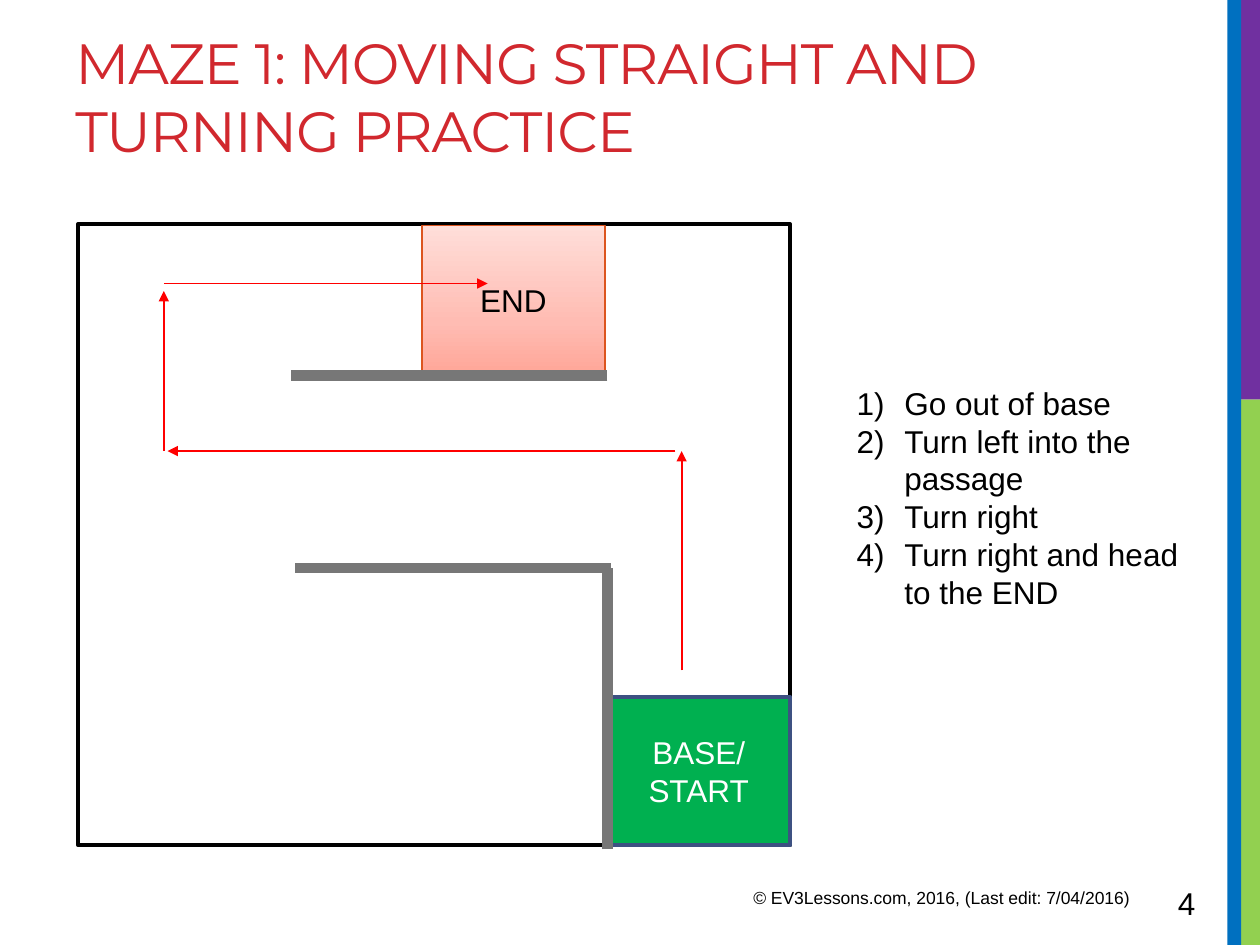
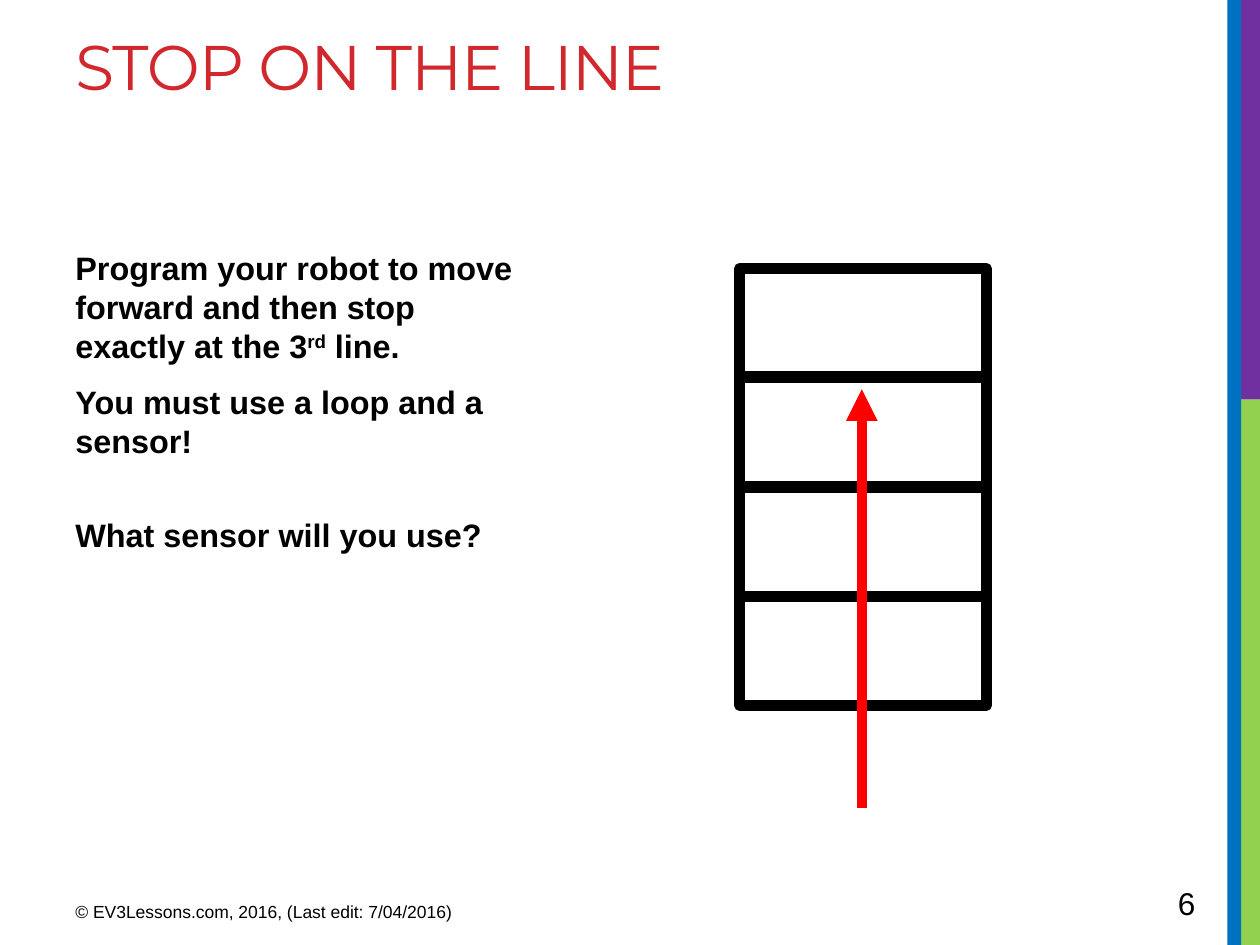
from copy import deepcopy
from dataclasses import dataclass

from lxml.etree import SubElement
from pptx import Presentation
from pptx.dml.color import RGBColor
from pptx.enum.shapes import MSO_CONNECTOR as Connector, MSO_SHAPE as Shape
from pptx.enum.text import MSO_ANCHOR as Anchor, PP_ALIGN as Align
from pptx.oxml.ns import qn
from pptx.util import Inches, Pt

# Shared style
BLACK, WHITE, RED = "000000", "FFFFFF", "FF0000"
TITLE_RED, WALL_GREY = "D1282E", "777777"
BODY_FONT, TITLE_FONT = "Arial", "Montserrat"
CREDIT = "© EV3Lessons.com, 2016, (Last edit: 7/04/2016)"


@dataclass(frozen=True)
class Rect:
    left: float
    top: float
    width: float
    height: float

    def lengths(self):
        return [Inches(v) for v in (self.left, self.top, self.width, self.height)]


@dataclass(frozen=True)
class Stroke:
    """A straight line between two points, in inches."""
    start: tuple[float, float]
    end: tuple[float, float]
    color: str = RED
    weight: float = 1
    arrow: bool = True


@dataclass(frozen=True)
class Band:
    rect: Rect
    color: str


SIDE_BANDS = [
    Band(Rect(9.84, 3.17, 0.16, 4.33), "92D050"),
    Band(Rect(9.8, 0, 0.2, 3.17), "7030A0"),
    Band(Rect(9.74, 0, 0.11, 7.5), "0070C0"),
]

# Maze parts
ROUTE = [
    Stroke((5.41, 5.32), (5.41, 3.58)),
    Stroke((5.36, 3.58), (1.33, 3.58)),
    Stroke((1.3, 3.58), (1.3, 2.31)),
    Stroke((1.3, 2.25), (3.87, 2.25)),
]
WALLS = [
    Stroke(start, end, WALL_GREY, 6, arrow=False)
    for start, end in [
        ((4.82, 6.74), (4.82, 4.51)),
        ((4.85, 4.51), (2.34, 4.51)),
        ((4.82, 2.98), (2.31, 2.98)),
    ]
]
STEPS = [
    "Go out of base",
    "Turn left into the passage",
    "Turn right",
    "Turn right and head to the END",
]
END_GRADIENT = [(0, "FFA698"), (0.35, "FFBCB3"), (1, "FFDED9")]


def rgb(color: str) -> RGBColor:
    return RGBColor.from_string(color)


def write(para, text: str, *, size: float = 18, font: str = BODY_FONT,
          color: str = BLACK, bold: bool = False, spacing: int = 0,
          raised: bool = False) -> None:
    """Add one formatted span of text to a paragraph."""
    span = para.add_run()
    span.text = text
    span.font.size = Pt(size)
    span.font.name = font
    span.font.bold = bold
    span.font.color.rgb = rgb(color)
    properties = span.font._element
    if spacing:
        properties.set("spc", str(spacing))
    if raised:
        properties.set("baseline", "30000")


def add_text_box(page, rect: Rect):
    frame = page.shapes.add_textbox(*rect.lengths()).text_frame
    frame.word_wrap = True
    return frame


def add_label(page, rect: Rect, text: str, **style) -> None:
    write(add_text_box(page, rect).paragraphs[0], text, **style)


def add_box(page, rect: Rect, fill: str | None = None,
            line: str | None = None, weight: float = 1):
    box = page.shapes.add_shape(Shape.RECTANGLE, *rect.lengths())
    box.shadow.inherit = False
    if fill:
        box.fill.solid()
        box.fill.fore_color.rgb = rgb(fill)
    else:
        box.fill.background()
    if line:
        box.line.color.rgb = rgb(line)
        box.line.width = Pt(weight)
    else:
        box.line.fill.background()
    box.text_frame.word_wrap = True
    box.text_frame.vertical_anchor = Anchor.MIDDLE
    return box


def write_centered(box, text: str, color: str) -> None:
    para = box.text_frame.paragraphs[0]
    para.alignment = Align.CENTER
    write(para, text, color=color)


def add_stroke(page, stroke: Stroke) -> None:
    ends = [Inches(v) for v in (*stroke.start, *stroke.end)]
    line = page.shapes.add_connector(Connector.STRAIGHT, *ends)
    line.line.color.rgb = rgb(stroke.color)
    line.line.width = Pt(stroke.weight)
    if stroke.arrow:
        SubElement(line.line._get_or_add_ln(), qn("a:tailEnd"), type="triangle")
    SubElement(line._element.spPr, qn("a:effectLst"))


def fill_gradient(box, colors: list[tuple[float, str]]) -> None:
    """Blend the colours from the bottom of the box to its top."""
    box.fill.gradient()
    box.fill.gradient_angle = 90
    stop_list = next(box._element.spPr.iter(qn("a:gsLst")))
    while len(stop_list) < len(colors):
        stop_list.append(deepcopy(stop_list[0]))
    for stop, (position, color) in zip(box.fill.gradient_stops, colors):
        stop.position = position
        stop.color.rgb = rgb(color)


def write_numbered(frame, items: list[str]) -> None:
    for index, item in enumerate(items):
        para = frame.add_paragraph() if index else frame.paragraphs[0]
        para.alignment = Align.LEFT
        properties = para._p.get_or_add_pPr()
        properties.set("marL", str(Inches(0.38)))
        properties.set("indent", str(-Inches(0.38)))
        SubElement(properties, qn("a:buFont"), typeface=BODY_FONT)
        SubElement(properties, qn("a:buAutoNum"), type="arabicParenR")
        write(para, item)


def add_page(deck, title: str, title_size: float, title_height: float,
             number: int, credit: Rect):
    """Add a blank page with side bands, title, credit line and number."""
    page = deck.slides.add_slide(deck.slide_layouts[6])
    for band in SIDE_BANDS:
        add_box(page, band.rect, band.color)
    add_label(page, Rect(0.5, 0.17, 9.02, title_height), title, size=title_size,
              font=TITLE_FONT, color=TITLE_RED, spacing=-60)
    add_label(page, credit, CREDIT, size=10)
    add_label(page, Rect(9.25, 6.97, 0.69, 0.4), str(number))
    return page


def build_maze_page(deck) -> None:
    page = add_page(deck, "MAZE 1: MOVING STRAIGHT AND TURNING PRACTICE",
                    32.4, 0.89, 4, Rect(5.88, 6.99, 3.75, 0.31))
    # Field with its start and end zones
    add_box(page, Rect(0.62, 1.78, 5.65, 4.93), WHITE, BLACK, 2.25)
    base = add_box(page, Rect(4.82, 5.53, 1.45, 1.18), "00B050", "3D5182", 2.25)
    write_centered(base, "BASE/ START", WHITE)
    end = add_box(page, Rect(3.35, 1.79, 1.45, 1.18), line="DC551F")
    fill_gradient(end, END_GRADIENT)
    write_centered(end, "END", BLACK)
    # Instructions
    steps = add_box(page, Rect(6.7, 2.8, 2.9, 2.29), WHITE)
    write_numbered(steps.text_frame, STEPS)
    # Walls and route
    for stroke in WALLS + ROUTE:
        add_stroke(page, stroke)


def build_line_page(deck) -> None:
    page = add_page(deck, "STOP ON THE LINE", 36, 1.5, 6,
                    Rect(0.5, 7.1, 3.75, 0.31))
    # Task: space before each paragraph, then its spans
    task = [
        (0, ["Program your robot to move forward and then stop exactly at the 3",
             "rd", " line."]),
        (3.7, ["You must use a loop and a sensor!"]),
        (25.8, ["What sensor will you use?"]),
    ]
    frame = add_text_box(page, Rect(0.5, 1.92, 3.75, 2.58))
    for index, (space_before, spans) in enumerate(task):
        para = frame.add_paragraph() if index else frame.paragraphs[0]
        para.space_before = Pt(space_before)
        para.space_after = Pt(6)
        for text in spans:
            write(para, text, size=18.5, bold=True, raised=text == "rd")
    # Ladder of lines and the robot's path
    for row in range(4):
        add_box(page, Rect(5.87, 2.13 + 0.87 * row, 1.96, 0.86),
                line=BLACK, weight=6)
    add_stroke(page, Stroke((6.84, 6.41), (6.84, 3.09), weight=6))


def main() -> None:
    deck = Presentation()
    deck.slide_width, deck.slide_height = Inches(10), Inches(7.5)
    build_maze_page(deck)
    build_line_page(deck)
    deck.save("out.pptx")


if __name__ == "__main__":
    main()
